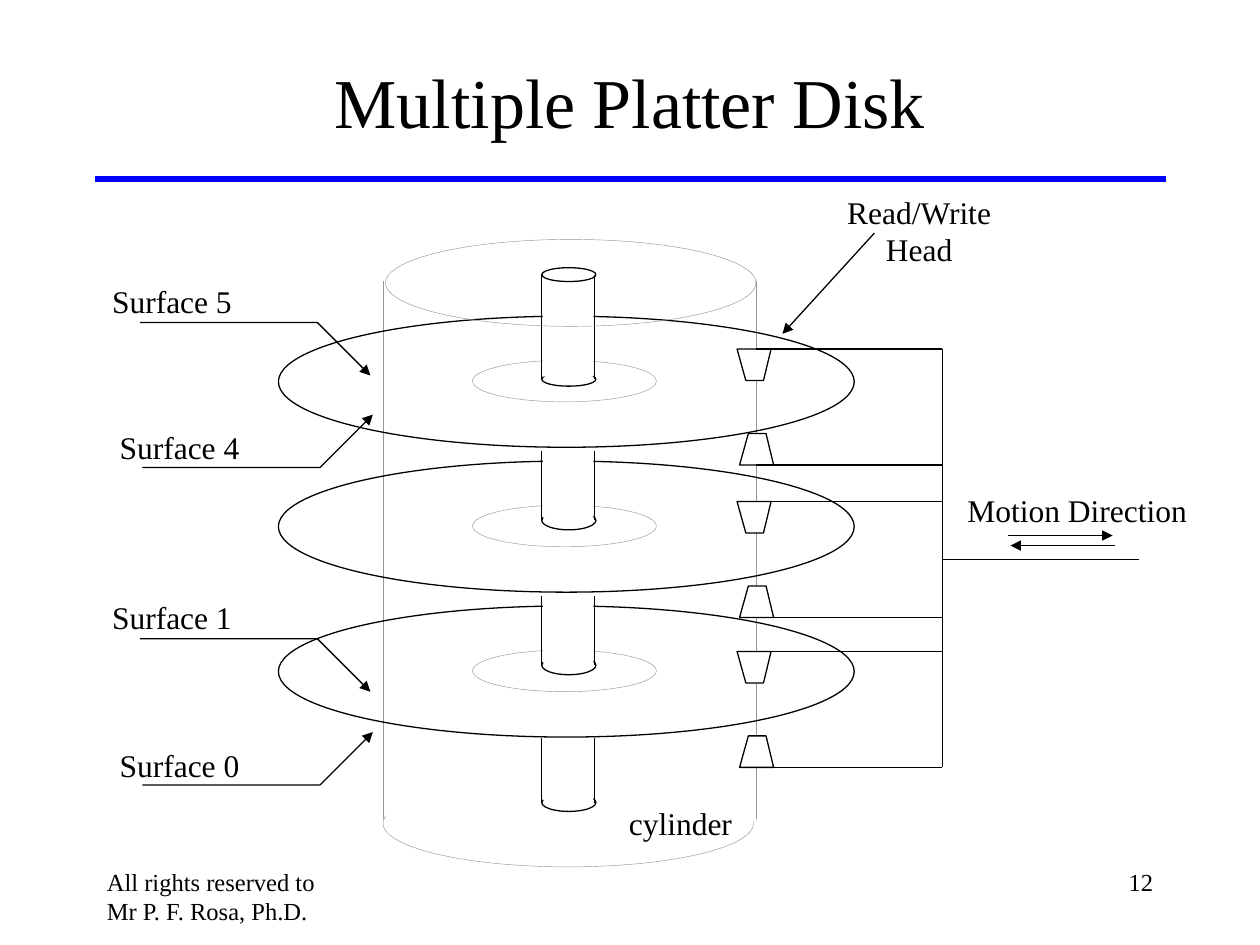
from pptx import Presentation
from pptx.dml.color import RGBColor
from pptx.enum import shapes, text
from pptx.oxml import parse_xml
from pptx.oxml.ns import nsdecls
from pptx.util import Inches, Pt

BLACK, GREY, WHITE, BLUE = "000000", "969696", "FFFFFF", "0000FF"
FONT = "Times New Roman"
OVAL, RECT = shapes.MSO_SHAPE.OVAL, shapes.MSO_SHAPE.RECTANGLE
LEFT, MID, RIGHT = text.PP_ALIGN.LEFT, text.PP_ALIGN.CENTER, text.PP_ALIGN.RIGHT


def tint(color, code):
    color.rgb = RGBColor.from_string(code)


def style(part, fill=None, edge=None, width=0.75):
    part.shadow.inherit = False
    if fill:
        part.fill.solid()
        tint(part.fill.fore_color, fill)
    else:
        part.fill.background()
    if edge:
        part.line.fill.solid()
        tint(part.line.color, edge)
        part.line.width = Pt(width)
    else:
        part.line.fill.background()


def tip(part):
    """Put an arrowhead at the first point of a line or path."""
    ln = part.line._get_or_add_ln()
    ln.append(parse_xml(f'<a:headEnd {nsdecls("a")} type="triangle"/>'))


def shape(sl, kind, x, y, w, h, fill=None, edge=None, width=0.75):
    part = sl.shapes.add_shape(kind, Inches(x), Inches(y), Inches(w), Inches(h))
    style(part, fill, edge, width)


def line(sl, x1, y1, x2, y2, color=BLACK, width=0.75, arrow=False):
    part = sl.shapes.add_connector(shapes.MSO_CONNECTOR.STRAIGHT, Inches(x1),
                                   Inches(y1), Inches(x2), Inches(y2))
    tint(part.line.color, color)
    part.line.width = Pt(width)
    if arrow:
        tip(part)
    part._element.spPr.append(parse_xml(f'<a:effectLst {nsdecls("a")}/>'))


def trace(sl, points, fill=None, closed=False):
    pts = [(Inches(x), Inches(y)) for x, y in points]
    pen = sl.shapes.build_freeform(*pts[0])
    pen.add_line_segments(pts[1:], close=closed)
    part = pen.convert_to_shape()
    style(part, fill, BLACK)
    return part


def write(para, words, size, align):
    para.alignment = align
    run = para.add_run()
    run.text = words
    run.font.size, run.font.name = Pt(size), FONT
    tint(run.font.color, BLACK)


def label(sl, x, y, w, h, rows, size=18, align=MID, wrap=False):
    frame = sl.shapes.add_textbox(Inches(x), Inches(y), Inches(w), Inches(h)).text_frame
    frame.word_wrap = wrap
    for i, row in enumerate(rows):
        para = frame.add_paragraph() if i else frame.paragraphs[0]
        write(para, row, size, align)


def header(sl, x, y, w, h):
    title = sl.shapes.title
    title.left, title.top, title.width, title.height = map(Inches, (x, y, w, h))
    title.text_frame.vertical_anchor = text.MSO_ANCHOR.MIDDLE
    write(title.text_frame.paragraphs[0], "Multiple Platter Disk", 40, MID)
    line(sl, x, y + h, x + w, y + h, BLUE, 3)


def footer(sl, x, y, w, h):
    box = 2.08
    label(sl, x, y, box, h, ["All rights reserved to Mr P. F. Rosa, Ph.D."], 14, LEFT, True)
    label(sl, x + w - box, y, box, h, ["12"], 14, RIGHT, True)


def shell(sl, x, y, w, h):
    """Grey sides and rounded base of the cylinder."""
    for side in (x + w, x):
        line(sl, side, y, side, y + h, GREY, 0.25)
    shape(sl, OVAL, x, y + 3.96, 2.94, 0.69, WHITE, GREY, 0.25)
    shape(sl, RECT, x + 0.02, y + 0.02, 2.92, 4.29, WHITE)


def spindle(sl, x, y, w, h, oval, mask, cap=False):
    """Spindle piece: bottom oval, sides, and a mask starting at mask."""
    base = y + h
    shape(sl, OVAL, x, base - oval / 2, w, oval, WHITE, BLACK)
    if cap:
        shape(sl, OVAL, x, y - oval / 2, w, oval, WHITE, BLACK)
    for side in (x, x + w - 0.01):
        line(sl, side, y, side, base)
    shape(sl, RECT, x + 0.01, mask, w - 0.03, base - 0.02 - mask, WHITE)


def platter(sl, x, y, w, h):
    shape(sl, OVAL, x + 1.54, y + 0.35, 1.46, 0.33, None, GREY, 0.25)
    shape(sl, OVAL, x, y, w, h, None, BLACK)


def stack(sl, x, y):
    """Three platters on the spindle, drawn from the bottom up."""
    rod, gap = x + 2.09, 1.15
    spindle(sl, rod, y + 3.35, 0.43, 0.51, 0.14, y + 3.27)
    for i in (2, 1, 0):
        top = y + gap * i
        platter(sl, x, top, 4.57, 1.04)
        if i:
            spindle(sl, rod, top - 0.08, 0.43, 0.55, 0.15, top - 0.18)
    spindle(sl, rod, y - 0.33, 0.43, 0.83, 0.11, y - 0.26, True)


def heads(sl, x, y, w):
    """Read/write heads in facing pairs, joined by one arm."""
    high, right = 0.25, x + w
    pairs = (0, 1.21, 2.4)
    arms = []
    for top in pairs:
        for dx, wide, thin in ((0, 0, high), (0.02, 0.92, 0.67)):
            a, b, left = y + top + wide, y + top + thin, x + dx
            trace(sl, [(left, a), (left + 0.07, b), (left + 0.21, b), (left + 0.27, a)],
                  WHITE, True)
            arms.append(a)
    for arm in arms:
        line(sl, x + 0.15, arm, right, arm)
    line(sl, right, arms[0], right, arms[-1])
    line(sl, right, y + 1.67, right + 1.56, y + 1.67)


def motion(sl, x, y):
    label(sl, x, y, 1.94, 0.4, ["Motion Direction"])
    line(sl, x + 1.25, y + 0.4, x + 0.42, y + 0.4, arrow=True)
    line(sl, x + 0.44, y + 0.48, x + 1.27, y + 0.48, arrow=True)


def surface(sl, x, y, name, up):
    """Name with an underline that bends up or down to its surface."""
    base = y + (0.36 if up else 0.37)
    start = x + (0.28 if up else 0.32)
    end = base + (-0.42 if up else 0.42)
    tip(trace(sl, [(start + 1.83, end), (start + 1.41, base), (start, base)]))
    label(sl, x, y, 1.15, 0.4, [name])


def notes(sl, x, y):
    """Names of the surfaces, the cylinder and the head."""
    for name, dx, dy, up in (("Surface 0", 0.06, 3.68, True), ("Surface 1", 0, 2.51, False),
                             ("Surface 4", 0.06, 1.16, True), ("Surface 5", 0, 0, False)):
        surface(sl, x + dx, y + dy, name, up)
    label(sl, x + 4.1, y + 4.14, 1.02, 0.4, ["cylinder"])
    line(sl, x + 5.42, y + 0.46, x + 6.15, y - 0.34, arrow=True)
    label(sl, x + 5.83, y - 0.71, 1.35, 0.7, ["Read/Write", "Head"])


def main():
    deck = Presentation()
    deck.slide_width, deck.slide_height = Inches(10), Inches(7.5)
    sl = deck.slides.add_slide(deck.slide_layouts[5])
    header(sl, 0.75, 0.17, 8.5, 1.25)
    footer(sl, 0.75, 6.83, 8.5, 0.5)
    shell(sl, 3.04, 2.23, 2.96, 4.27)
    stack(sl, 2.21, 2.51)
    heads(sl, 5.85, 2.77, 1.63)
    motion(sl, 7.58, 3.85)
    notes(sl, 0.79, 2.19)
    # Top rim of the cylinder, over everything else
    shape(sl, OVAL, 3.06, 1.9, 2.94, 0.69, None, GREY, 0.25)
    deck.save("out.pptx")


if __name__ == "__main__":
    main()
